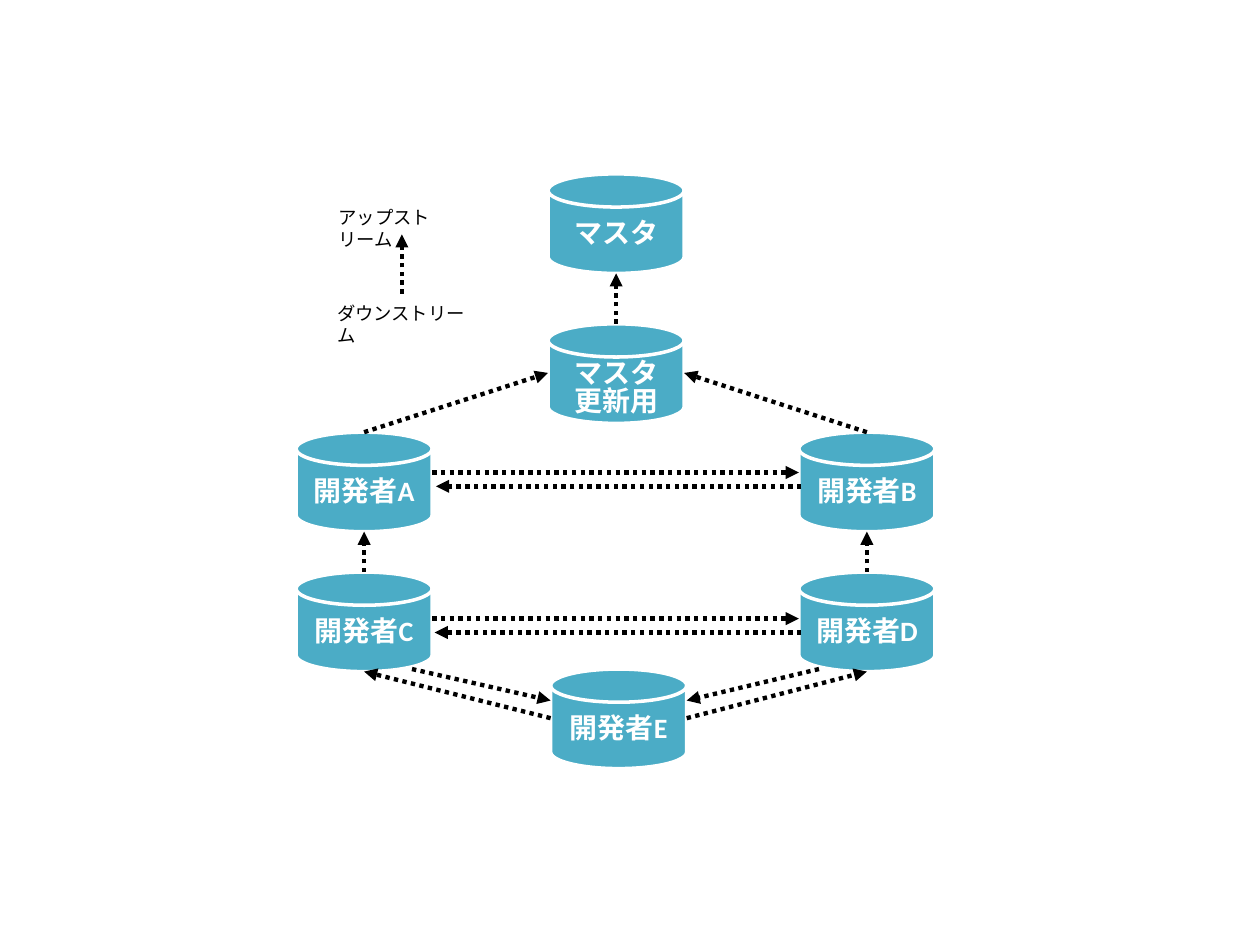
import pptx
import pptx.util
import pptx.dml.color
import pptx.enum.dml
import pptx.enum.shapes
import pptx.enum.text
import pptx.oxml
import pptx.oxml.ns
from pptx.util import Inches

TEAL = pptx.dml.color.RGBColor(0x4B, 0xAC, 0xC6)
WHITE = pptx.dml.color.RGBColor(0xFF, 0xFF, 0xFF)
BLACK = pptx.dml.color.RGBColor(0, 0, 0)
LATIN_FONT = "Calibri"
JAPANESE_FONT = "Noto Sans CJK JP"
DISK_WIDTH, DISK_HEIGHT = 1.08, 0.79
LEFT, CENTER, RIGHT = 2.35, 4.35, 6.34
UPPER_ROW, LOWER_ROW = 3.43, 4.54


def format_run(run, size, color, latin_font):
    """Set size, colour and both the Latin and the East Asian typeface."""
    run.font.size = pptx.util.Pt(size)
    run.font.color.rgb = color
    run.font.name = latin_font
    east_asian = pptx.oxml.parse_xml(
        f'<a:ea {pptx.oxml.ns.nsdecls("a")} typeface="{JAPANESE_FONT}"/>')
    run.font._element.find(pptx.oxml.ns.qn("a:latin")).addnext(east_asian)


presentation = pptx.Presentation()
presentation.slide_width = Inches(10)
presentation.slide_height = Inches(7.5)
slide = presentation.slides.add_slide(presentation.slide_layouts[6])

# Repositories
repositories = [
    ("マスタ", CENTER, 1.38),
    ("マスタ\n更新用", CENTER, 2.57),
    ("開発者A", LEFT, UPPER_ROW),
    ("開発者B", RIGHT, UPPER_ROW),
    ("開発者C", LEFT, LOWER_ROW),
    ("開発者D", RIGHT, LOWER_ROW),
    ("開発者E", 4.37, 5.31),
]
for label, left, top in repositories:
    disk = slide.shapes.add_shape(
        pptx.enum.shapes.MSO_SHAPE.FLOWCHART_MAGNETIC_DISK,
        Inches(left), Inches(top), Inches(DISK_WIDTH), Inches(DISK_HEIGHT))
    disk.shadow.inherit = False
    disk.fill.solid()
    disk.fill.fore_color.rgb = TEAL
    disk.line.color.rgb = WHITE
    disk.line.width = pptx.util.Pt(2)
    text_frame = disk.text_frame
    text_frame.text = label
    text_frame.word_wrap = True
    text_frame.vertical_anchor = pptx.enum.text.MSO_ANCHOR.MIDDLE
    two_lines = len(text_frame.paragraphs) > 1
    if two_lines:
        text_frame.margin_top = Inches(0.12)
        text_frame.margin_bottom = 0
    for paragraph in text_frame.paragraphs:
        paragraph.alignment = pptx.enum.text.PP_ALIGN.CENTER
        if two_lines:
            paragraph.line_spacing = pptx.util.Pt(16)
        for run in paragraph.runs:
            latin_font = LATIN_FONT if label.startswith("開発者") else JAPANESE_FONT
            format_run(run, 16, WHITE, latin_font)
            run.font.bold = True

# Arrows, each from its start to its head
arrows = [
    (4.89, 2.57, 4.89, 2.17),
    (2.89, 3.43, 4.35, 2.96),
    (6.88, 3.43, 5.43, 2.96),
    (2.89, 4.54, 2.89, 4.22),
    (6.88, 4.54, 6.88, 4.22),
    (3.43, 3.75, 6.34, 3.75),
    (6.36, 3.86, 3.46, 3.86),
    (3.43, 4.91, 6.34, 4.91),
    (6.36, 5.02, 3.45, 5.02),
    (3.27, 5.31, 4.37, 5.56),
    (4.37, 5.70, 2.89, 5.33),
    (6.50, 5.31, 5.45, 5.56),
    (5.45, 5.70, 6.88, 5.33),
    (3.19, 2.33, 3.19, 1.86),
]
for arrow in arrows:
    connector = slide.shapes.add_connector(
        pptx.enum.shapes.MSO_CONNECTOR.STRAIGHT, *map(Inches, arrow))
    connector.line.color.rgb = BLACK
    connector.line.width = pptx.util.Pt(2.5)
    connector.line.dash_style = pptx.enum.dml.MSO_LINE.ROUND_DOT
    properties = connector._element.spPr
    line = properties.find(pptx.oxml.ns.qn("a:ln"))
    line.append(pptx.oxml.parse_xml(
        f'<a:tailEnd {pptx.oxml.ns.nsdecls("a")} type="triangle"/>'))
    properties.append(pptx.oxml.parse_xml(
        f'<a:effectLst {pptx.oxml.ns.nsdecls("a")}/>'))

# Legend
legend = [("アップストリーム", 2.59, 1.59, 1.20), ("ダウンストリーム", 2.58, 2.35, 1.23)]
for label, left, top, width in legend:
    text_box = slide.shapes.add_textbox(
        Inches(left), Inches(top), Inches(width), Inches(0.28))
    text_box.text_frame.text = label
    text_box.text_frame.word_wrap = True
    format_run(text_box.text_frame.paragraphs[0].runs[0], 10.5, BLACK, LATIN_FONT)

presentation.save("out.pptx")
